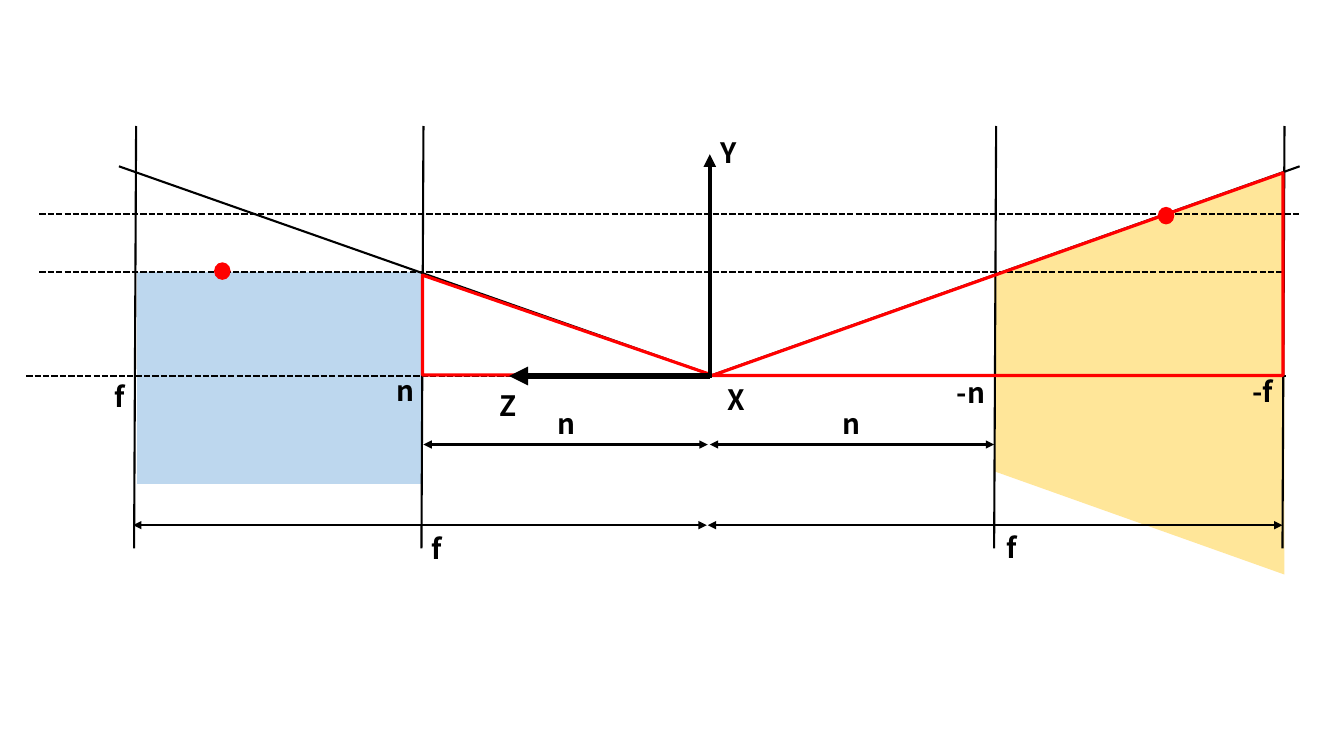
from lxml import etree
from pptx import Presentation
from pptx.dml.color import RGBColor
from pptx.enum.dml import MSO_LINE
from pptx.enum.shapes import MSO_CONNECTOR, MSO_SHAPE as Preset
from pptx.enum.text import MSO_AUTO_SIZE
from pptx.oxml.ns import qn
from pptx.util import Inches, Pt

BLACK, RED, BLUE, YELLOW = "000000", "FF0000", "BDD7EE", "FFE699"


def color(hex_code):
    return RGBColor.from_string(hex_code)


class Diagram:
    font = "Noto Sans CJK SC"
    label_size = Pt(20)

    def __init__(self, slide):
        self.shapes = slide.shapes

    def line(self, start, end, width=1.5, dashed=False, head=False, tail=False):
        """Draw a straight line; head is an arrow at start, tail one at end."""
        connector = self.shapes.add_connector(
            MSO_CONNECTOR.STRAIGHT, *map(Inches, (*start, *end)))
        connector.line.color.rgb = color(BLACK)
        connector.line.width = Pt(width)
        if dashed:
            connector.line.dash_style = MSO_LINE.SQUARE_DOT
        outline = connector.get_or_add_ln()
        for tag, wanted in (("a:headEnd", head), ("a:tailEnd", tail)):
            if wanted:
                etree.SubElement(outline, qn(tag)).set("type", "triangle")
        etree.SubElement(connector.element.spPr, qn("a:effectLst"))

    def shape(self, preset, box, fill=None, stroke=None, width=1.0,
              rotation=0, adjust=None, flip=False):
        """Draw a preset shape; box is its frame before rotation."""
        shape = self.shapes.add_shape(preset, *map(Inches, box))
        shape.shadow.inherit = False
        shape.rotation = rotation
        if adjust is not None:
            shape.adjustments[0] = adjust
        if flip:
            shape.element.spPr.find(qn("a:xfrm")).set("flipV", "1")
        if fill:
            shape.fill.solid()
            shape.fill.fore_color.rgb = color(fill)
        else:
            shape.fill.background()
        if stroke:
            shape.line.color.rgb = color(stroke)
            shape.line.width = Pt(width)
        else:
            shape.line.fill.background()

    def label(self, text, left, top, width):
        frame = self.shapes.add_textbox(
            *map(Inches, (left, top, width, 0.44))).text_frame
        frame.word_wrap = False
        frame.auto_size = MSO_AUTO_SIZE.SHAPE_TO_FIT_TEXT
        frame.text = text
        font = frame.paragraphs[0].runs[0].font
        font.name, font.size, font.bold = self.font, self.label_size, True
        font.color.rgb = color(BLACK)


def draw_projection(diagram):
    origin_x, axis_y = 7.04, 3.73

    # View volumes: the mapped box and the frustum
    diagram.shape(Preset.TRAPEZOID, (1.72, 2.34, 2.1, 2.82), BLUE,
                  rotation=90, adjust=0)
    diagram.shape(Preset.TRAPEZOID, (9.31, 2.27, 3.98, 2.88), YELLOW,
                  rotation=270, adjust=0.356)

    # Z axis guide, lines of sight, and the near and far planes
    diagram.line((0.26, axis_y), (12.75, axis_y), dashed=True)
    diagram.line((origin_x, axis_y), (12.89, 1.65))
    diagram.line((1.18, 1.65), (7.06, 3.72))
    for plane_x in (9.88, 4.2, 12.74, 1.35):
        diagram.line((plane_x, 1.25), (plane_x - 0.02, 5.44))
    for height_y, right in ((2.7, 12.74), (2.12, 12.88)):
        diagram.line((0.39, height_y), (right, height_y), dashed=True)

    # Distances to the near and far planes
    for left, right, y in ((origin_x, 9.86, 4.41), (7.02, 12.72, 5.21),
                           (4.2, 7.02, 4.41), (1.32, 7.01, 5.21)):
        diagram.line((left, y), (right, y), head=True, tail=True)

    # The point before and after mapping
    for dot in ((11.49, 2.06, 0.15, 0.16), (2.19, 2.67, 0.08, 0.07),
                (2.13, 2.61, 0.15, 0.16)):
        diagram.shape(Preset.OVAL, dot, RED, RED)

    for text, left, top, width in (
            ("Y", 7.05, 1.3, 0.36), ("X", 7.12, 3.75, 0.38),
            ("Z", 4.86, 3.81, 0.37),
            ("n", 8.26, 3.98, 0.36), ("n", 5.43, 3.98, 0.36),
            ("f", 9.88, 5.21, 0.3), ("f", 4.18, 5.22, 0.3),
            ("-n", 9.39, 3.68, 0.51), ("-f", 12.32, 3.67, 0.44),
            ("f", 1.04, 3.72, 0.3), ("n", 3.83, 3.66, 0.36)):
        diagram.label(text, left, top, width)

    # Similar triangles
    for box, flip in (((5.13, 1.79, 0.99, 2.87), True),
                      ((8.89, -0.11, 2.01, 5.66), False)):
        diagram.shape(Preset.ISOSCELES_TRIANGLE, box, stroke=RED, width=2.25,
                      rotation=270, adjust=0, flip=flip)

    # Y and Z axes
    diagram.line((origin_x, 3.75), (origin_x, 1.53), 3, tail=True)
    diagram.line((5.05, axis_y), (origin_x, axis_y), 4.5, head=True)


def main():
    deck = Presentation()
    deck.slide_width, deck.slide_height = Inches(13.33), Inches(7.5)
    draw_projection(Diagram(deck.slides.add_slide(deck.slide_layouts[6])))
    deck.save("out.pptx")


if __name__ == "__main__":
    main()
